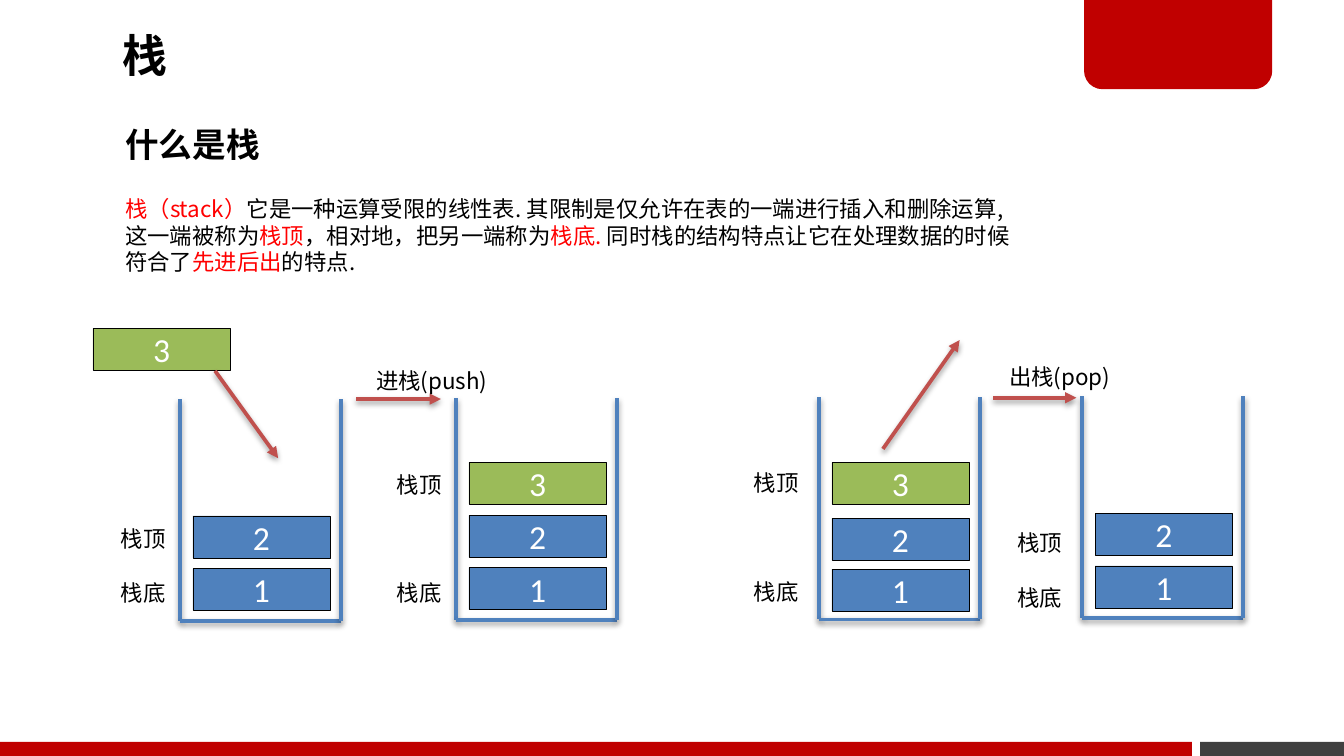
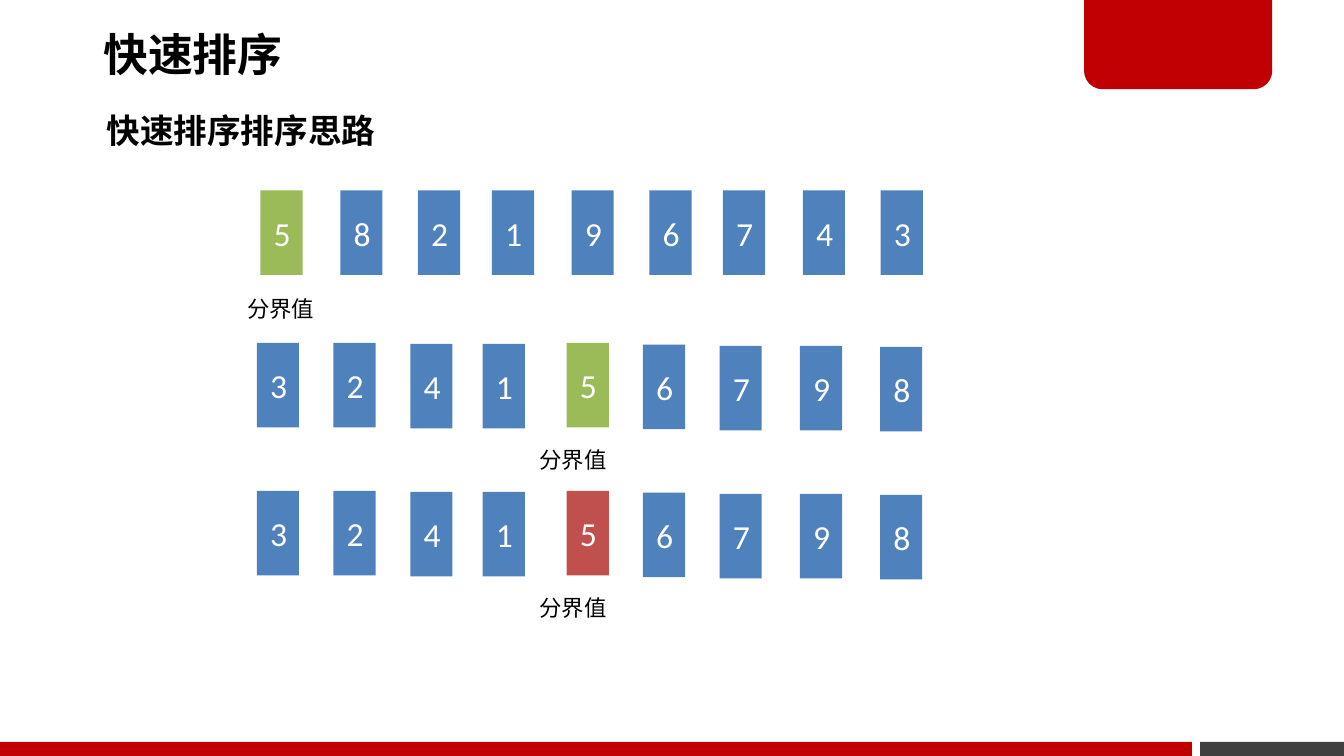
import pptx
import pptx.dml.color
import pptx.enum.shapes
import pptx.enum.text
import pptx.oxml
import pptx.oxml.ns
import pptx.util

Pt = pptx.util.Pt
SHAPE = pptx.enum.shapes.MSO_SHAPE
ALIGN = pptx.enum.text.PP_ALIGN
ANCHOR = pptx.enum.text.MSO_ANCHOR
FIT = pptx.enum.text.MSO_AUTO_SIZE

# Shared style
CJK, LATIN = "Noto Sans CJK SC", "Calibri"
BLUE, GREEN, RED = "4F81BD", "9BBB59", "C0504D"
BAND, DARK, HIGHLIGHT = "C00000", "404040", "FF0000"
BLACK, WHITE = "000000", "FFFFFF"

BLOCK_W, BLOCK_H = 73.5, 22.5
STACK_W, STACK_H = 86.4, 119
CARD_W, CARD_H = 22.6, 45.3

SHADOW = (
    f'<a:effectLst {pptx.oxml.ns.nsdecls("a")}>'
    '<a:outerShdw blurRad="39370" dist="20320" dir="5400000" rotWithShape="0">'
    '<a:srgbClr val="000000"><a:alpha val="38000"/></a:srgbClr>'
    "</a:outerShdw></a:effectLst>"
)


def rgb(value):
    return pptx.dml.color.RGBColor.from_string(value)


def add_run(p, text, size, color=BLACK, font=CJK, bold=False):
    r = p.add_run()
    r.text = text
    r.font.size = Pt(size)
    r.font.name = font
    r.font.bold = bold
    r.font.color.rgb = rgb(color)
    ea = pptx.oxml.parse_xml(
        f'<a:ea {pptx.oxml.ns.nsdecls("a")} typeface="{font}"/>')
    r.font._element.find(pptx.oxml.ns.qn("a:latin")).addnext(ea)


def add_box(s, x, y, w, h, fill, text="", outline=None, kind=SHAPE.RECTANGLE):
    sp = s.shapes.add_shape(kind, Pt(x), Pt(y), Pt(w), Pt(h))
    sp.shadow.inherit = False
    sp.fill.solid()
    sp.fill.fore_color.rgb = rgb(fill)
    if outline:
        sp.line.color.rgb = rgb(outline)
        sp.line.width = Pt(0.25)
    else:
        sp.line.fill.background()
    if text:
        tf = sp.text_frame
        tf.vertical_anchor = ANCHOR.MIDDLE
        p = tf.paragraphs[0]
        p.alignment = ALIGN.CENTER
        add_run(p, text, 18, WHITE, LATIN)
    return sp


def add_text(s, x, y, w, h, paragraphs, size=12, bold=False):
    """Each paragraph is a list of (text, colour) runs."""
    tf = s.shapes.add_textbox(Pt(x), Pt(y), Pt(w), Pt(h)).text_frame
    tf.word_wrap = False
    tf.auto_size = FIT.SHAPE_TO_FIT_TEXT
    for i, runs in enumerate(paragraphs):
        p = tf.add_paragraph() if i else tf.paragraphs[0]
        for text, color in runs:
            add_run(p, text, size, color, bold=bold)


def add_label(s, x, y, text, w=39):
    add_text(s, x, y, w, 21.8, [[(text, BLACK)]])


def add_line(s, x1, y1, x2, y2, color=BLUE, arrow=False):
    line = s.shapes.add_connector(
        pptx.enum.shapes.MSO_CONNECTOR.STRAIGHT, Pt(x1), Pt(y1), Pt(x2), Pt(y2))
    line.line.color.rgb = rgb(color)
    line.line.width = Pt(2)
    if arrow:
        line.line._get_or_add_ln().append(pptx.oxml.parse_xml(
            f'<a:tailEnd {pptx.oxml.ns.nsdecls("a")} type="triangle"/>'))
    line._element.spPr.append(pptx.oxml.parse_xml(SHADOW))


def add_block(s, x, y, number):
    add_box(s, x, y, BLOCK_W, BLOCK_H, GREEN if number == 3 else BLUE,
            str(number), BLACK)


def add_stack(s, x, bottom, rises):
    """An open container; rises are block tops above its floor, from 1 up."""
    top, right = bottom - STACK_H, x + STACK_W
    add_line(s, x, top, x, bottom)
    add_line(s, x, bottom, right, bottom)
    add_line(s, right, top, right, bottom)
    for number, rise in enumerate(rises, 1):
        add_block(s, x + 7, bottom - rise, number)


def add_cards(s, y, lefts, drops, numbers, pivot_color):
    for x, drop, number in zip(lefts, drops, numbers):
        add_box(s, x, y + drop, CARD_W, CARD_H,
                pivot_color if number == "5" else BLUE, number)


def add_slide(prs, x, title, title_y, heading, heading_y, heading_w):
    s = prs.slides.add_slide(prs.slide_layouts[6])
    # Footer bands and corner tab
    add_box(s, 643, 397.5, 77, 7.5, DARK)
    tab = add_box(s, 580.8, -1.5, 100.8, 49.3, BAND,
                  kind=SHAPE.ROUND_2_SAME_RECTANGLE)
    tab.adjustments[0], tab.adjustments[1] = 0, 0.2
    add_box(s, 0, 397.5, 638.6, 7.5, BAND)
    # Title and heading
    tf = s.shapes.add_textbox(Pt(x), Pt(title_y), Pt(424), Pt(64)).text_frame
    tf.word_wrap = True
    tf.vertical_anchor = ANCHOR.MIDDLE
    tf.margin_left = tf.margin_right = Pt(5.4)
    tf.margin_top = tf.margin_bottom = Pt(2.7)
    tf.paragraphs[0].line_spacing = 0.9
    add_run(tf.paragraphs[0], title, 24, bold=True)
    add_text(s, x, heading_y, heading_w, 29, [[(heading, BLACK)]], 18, True)
    return s


def stack_slide(prs):
    s = add_slide(prs, 60, "栈", -0.7, "什么是栈", 62.6, 87)
    add_text(s, 60, 100.8, 499, 51, [
        [("栈（stack）", HIGHLIGHT),
         ("它是一种运算受限的线性表. 其限制是仅允许在表的一端进行插入和删除运算,", BLACK)],
        [("这一端被称为", BLACK), ("栈顶", HIGHLIGHT),
         ("，相对地，把另一端称为", BLACK), ("栈底. ", HIGHLIGHT),
         ("同时栈的结构特点让它在处理数据的时候", BLACK)],
        [("符合了", BLACK), ("先进后出", HIGHLIGHT), ("的特点.", BLACK)],
    ])

    # Stacks before and after push, before and after pop
    add_stack(s, 96.3, 332.8, (28.2, 56.4))
    add_stack(s, 244.2, 332.3, (28.2, 56.2, 84.6))
    add_stack(s, 438.6, 331.9, (27, 54.2, 84.2))
    add_stack(s, 579.7, 331.2, (28, 56.2))
    add_block(s, 49.8, 175.9, 3)

    # Push and pop arrows
    for ends in ((115.2, 198.7, 149, 245.5), (190.8, 213.8, 236.2, 213.8),
                 (473, 240.5, 514.1, 182.2), (532.1, 213.1, 576.7, 213.1)):
        add_line(s, *ends, RED, arrow=True)

    # Labels: left edge, top of 栈顶, top of 栈底
    for x, top_y, base_y in ((57.6, 277.9, 306.7), (205.5, 249.1, 306.7),
                             (396.7, 247.9, 306.2), (537.8, 280.1, 309.2)):
        add_label(s, x, top_y, "栈顶")
        add_label(s, x, base_y, "栈底")
    add_label(s, 194.4, 193, "进栈(push)", 74.9)
    add_label(s, 533.5, 191, "出栈(pop)", 72)


def quicksort_slide(prs):
    s = add_slide(prs, 50, "快速排序", -1.5, "快速排序排序思路", 55.2, 161)
    start_lefts = (139.5, 182.3, 223.9, 263.5, 306.2, 347.9, 387.3, 430.1, 471.8)
    split_lefts = (137.6, 178.6, 219.8, 258.6, 303.6, 344.4, 385.5, 428.5, 471.5)
    split_drops = (0, 0, 0.5, 0.5, 0, 0.9, 1.6, 1.6, 2.2)

    # Starting order, then two partitioned rows
    add_cards(s, 102, start_lefts, [0] * 9, "582196743", GREEN)
    add_label(s, 125.3, 154.8, "分界值", 51)
    for y, pivot_color in ((183.7, GREEN), (263, RED)):
        add_cards(s, y, split_lefts, split_drops, "324156798", pivot_color)
        add_label(s, 282, y + 51.8, "分界值", 51)


def main():
    prs = pptx.Presentation()
    prs.slide_width, prs.slide_height = Pt(720), Pt(405)
    stack_slide(prs)
    quicksort_slide(prs)
    prs.save("out.pptx")


if __name__ == "__main__":
    main()
